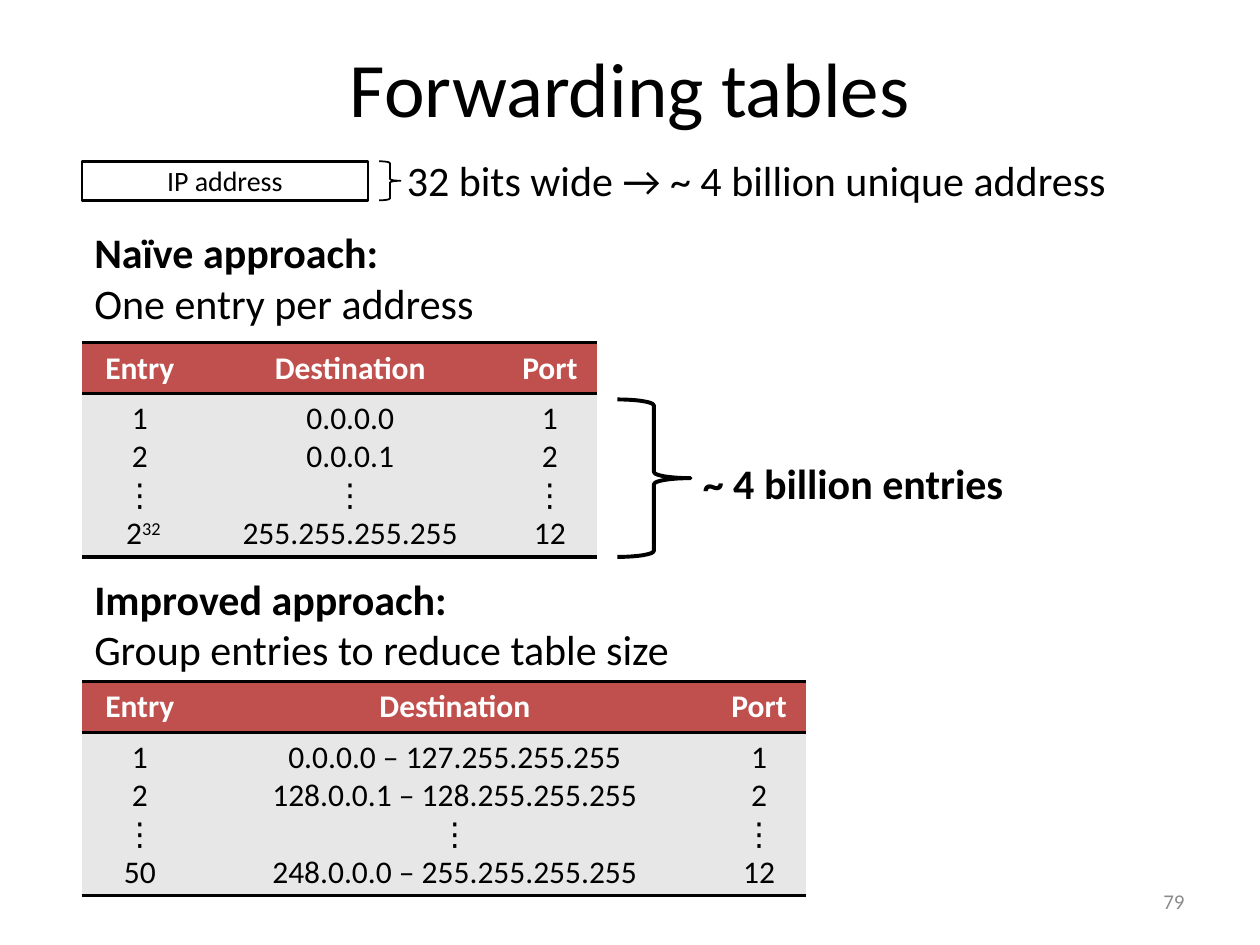
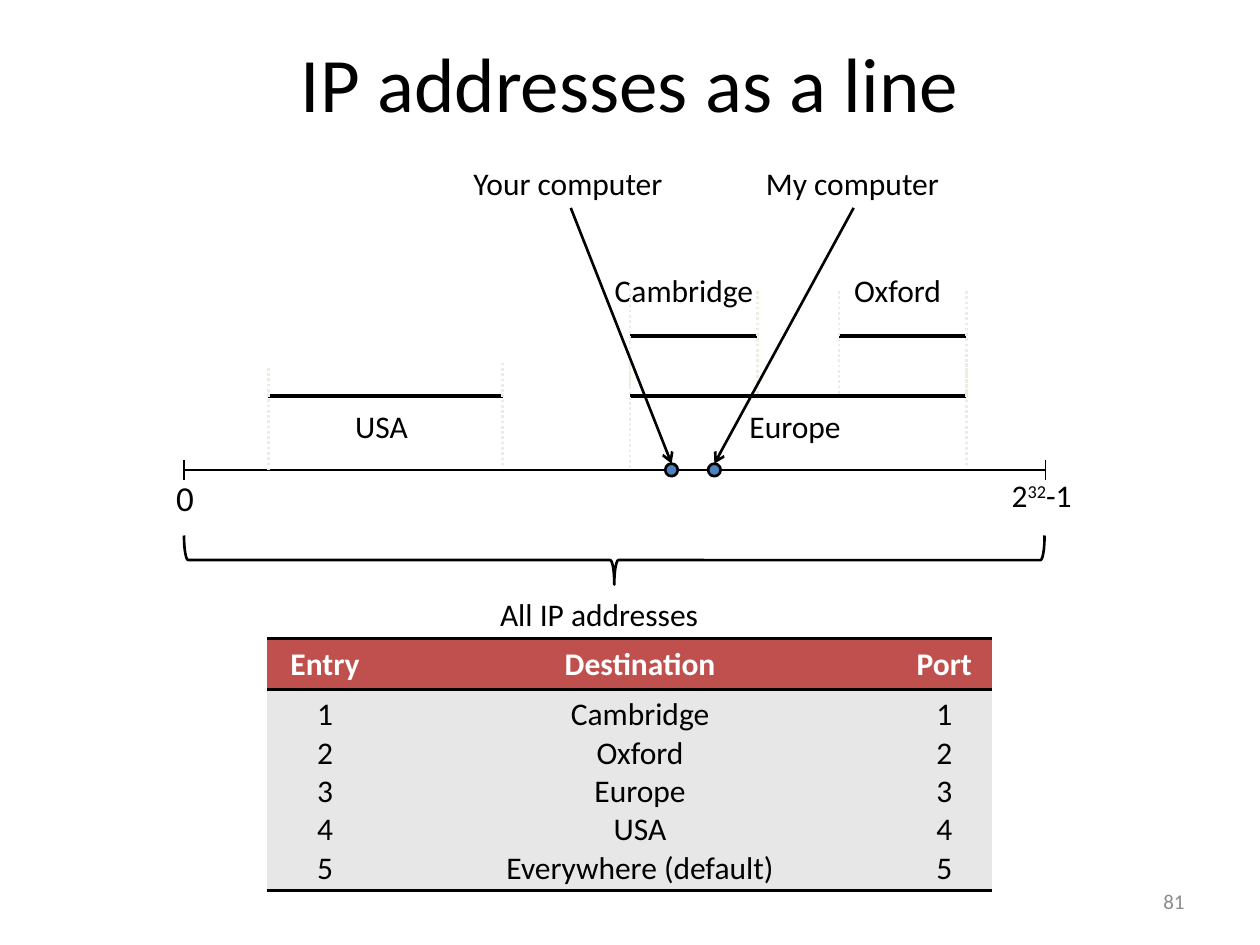
from typing import NamedTuple

from lxml import etree
from pptx import Presentation
from pptx.dml.color import RGBColor
from pptx.enum.dml import MSO_LINE
from pptx.enum.shapes import MSO_CONNECTOR, MSO_SHAPE
from pptx.enum.text import MSO_ANCHOR, MSO_AUTO_SIZE, PP_ALIGN
from pptx.oxml.ns import qn
from pptx.util import Emu, Inches, Pt

SLIDE_WIDTH = Inches(10)
SLIDE_HEIGHT = Inches(7.5)
GRID_COLUMNS = 100
GRID_ROWS = 75

FONT = "Calibri"
BLACK = RGBColor(0x00, 0x00, 0x00)
WHITE = RGBColor(0xFF, 0xFF, 0xFF)
HEADER_RED = RGBColor(0xC0, 0x50, 0x4D)
BODY_GRAY = RGBColor(0xE7, 0xE7, 0xE7)
GUIDE_TAN = RGBColor(0xEE, 0xEC, 0xE1)
DOT_BLUE = RGBColor(0x4F, 0x81, 0xBD)
NUMBER_GRAY = RGBColor(0x8C, 0x8C, 0x8C)

LEFT, CENTER, RIGHT = PP_ALIGN.LEFT, PP_ALIGN.CENTER, PP_ALIGN.RIGHT
TOP, MIDDLE = MSO_ANCHOR.TOP, MSO_ANCHOR.MIDDLE
STRAIGHT = MSO_CONNECTOR.STRAIGHT
RECTANGLE, OVAL, RIGHT_BRACE = MSO_SHAPE.RECTANGLE, MSO_SHAPE.OVAL, MSO_SHAPE.RIGHT_BRACE
DOTTED = MSO_LINE.ROUND_DOT
FIT_TEXT = MSO_AUTO_SIZE.SHAPE_TO_FIT_TEXT
SITE_TOP, SITE_BOTTOM = 0, 2

AXIS_START, AXIS_END, AXIS_ROW = 14.6, 83, 37.3
TICK_REACH = 0.8
GUIDE_LENGTH = 8.3
DOT_SIZE = 1
LABEL_HEIGHT = 4
HEADER_HEIGHT = 4
ENTRY_WIDTH, PORT_WIDTH = 9.2, 7.5


class Box(NamedTuple):
    left: float
    top: float
    width: float
    height: float


class Span(NamedTuple):
    text: str
    bold: bool = False
    raised: bool = False


class TextStyle(NamedTuple):
    size: float
    color: RGBColor = BLACK
    align: PP_ALIGN = LEFT
    anchor: MSO_ANCHOR = TOP


class Region(NamedTuple):
    name: str
    start: float
    end: float
    bar_row: float
    guide_tops: tuple[float, float]
    label: Box


class Computer(NamedTuple):
    name: str
    label: Box
    position: float


TITLE = TextStyle(44, align=CENTER, anchor=MIDDLE)
STATEMENT = TextStyle(24)
LABEL = TextStyle(18)
AXIS_ZERO = TextStyle(20)
FIELD = TextStyle(16, align=CENTER, anchor=MIDDLE)
HEADER = TextStyle(18, WHITE, CENTER)
BODY = TextStyle(18, align=CENTER)
SLIDE_NUMBER = TextStyle(12, NUMBER_GRAY, RIGHT, MIDDLE)

Line = str | tuple[Span, ...]

HEADINGS = ("Entry", "Destination", "Port")
NAIVE_ENTRIES = [
    ("1", "0.0.0.0", "1"),
    ("2", "0.0.0.1", "2"),
    ("⋮", "⋮", "⋮"),
    ((Span(" 2"), Span("32", raised=True)), "255.255.255.255", "12"),
]
GROUPED_ENTRIES = [
    ("1", "0.0.0.0 – 127.255.255.255", "1"),
    ("2", "128.0.0.1 – 128.255.255.255", "2"),
    ("⋮", "⋮", "⋮"),
    ("50", "248.0.0.0 – 255.255.255.255", "12"),
]
PLACES = ("Cambridge", "Oxford", "Europe", "USA", "Everywhere (default)")
PLACE_ENTRIES = [(str(rank), place, str(rank)) for rank, place in enumerate(PLACES, 1)]

REGIONS = [
    Region("Europe", 50, 76.7, 31.4, (29, 28.8), Box(58.5, 31.8, 9.4, LABEL_HEIGHT)),
    Region("USA", 21.3, 39.9, 31.4, (29.2, 28.8), Box(27.2, 31.8, 6.3, LABEL_HEIGHT)),
    Region("Oxford", 66.6, 76.7, 26.7, (23.1, 23.1), Box(66.8, 21, 9.1, LABEL_HEIGHT)),
    Region("Cambridge", 50, 60.1, 26.7, (22.5, 23.1), Box(47.8, 21, 13.1, LABEL_HEIGHT)),
]
COMPUTERS = [
    Computer("Your computer", Box(36.6, 12.5, 17.4, LABEL_HEIGHT), 53.3),
    Computer("My computer", Box(59.8, 12.5, 15.9, LABEL_HEIGHT), 56.7),
]


def columns(count: float) -> Emu:
    return Emu(round(SLIDE_WIDTH * count / GRID_COLUMNS))


def rows(count: float) -> Emu:
    return Emu(round(SLIDE_HEIGHT * count / GRID_ROWS))


def place(box: Box) -> tuple[Emu, Emu, Emu, Emu]:
    return columns(box.left), rows(box.top), columns(box.width), rows(box.height)


def write(text_frame, lines: list[Line], style: TextStyle, bold: bool = False) -> None:
    for index, line in enumerate(lines):
        paragraph = text_frame.add_paragraph() if index else text_frame.paragraphs[0]
        paragraph.alignment = style.align
        spans = (Span(line, bold),) if isinstance(line, str) else line
        for span in spans:
            run = paragraph.add_run()
            run.text = span.text
            run.font.name = FONT
            run.font.size = Pt(style.size)
            run.font.bold = span.bold
            run.font.color.rgb = style.color
            if span.raised:
                run.font._element.set("baseline", "30000")


def add_text(slide, box: Box, lines: list[Line], style: TextStyle, wrap: bool = False):
    shape = slide.shapes.add_textbox(*place(box))
    text_frame = shape.text_frame
    text_frame.word_wrap = wrap
    text_frame.vertical_anchor = style.anchor
    if not wrap:
        text_frame.auto_size = FIT_TEXT
    write(text_frame, lines, style)
    return shape


def add_outline(slide, kind: MSO_SHAPE, box: Box, weight: float, fill: RGBColor | None = None):
    shape = slide.shapes.add_shape(kind, *place(box))
    shape.shadow.inherit = False
    if fill is None:
        shape.fill.background()
    else:
        shape.fill.solid()
        shape.fill.fore_color.rgb = fill
    shape.line.color.rgb = BLACK
    shape.line.width = Pt(weight)
    return shape


def add_line(slide, start: tuple[float, float], end: tuple[float, float],
             weight: float, color: RGBColor = BLACK):
    connector = slide.shapes.add_connector(
        STRAIGHT, columns(start[0]), rows(start[1]), columns(end[0]), rows(end[1]))
    connector.line.color.rgb = color
    connector.line.width = Pt(weight)
    etree.SubElement(connector.element.spPr, qn("a:effectLst"))
    return connector


def set_borders(cell) -> None:
    properties = cell._tc.get_or_add_tcPr()
    for index, side in enumerate(("lnL", "lnR", "lnT", "lnB")):
        border = etree.Element(qn(f"a:{side}"), w=str(Pt(2)))
        if side in ("lnT", "lnB"):
            fill = etree.SubElement(border, qn("a:solidFill"))
            etree.SubElement(fill, qn("a:srgbClr"), val=str(BLACK))
        else:
            etree.SubElement(border, qn("a:noFill"))
        properties.insert(index, border)


def add_forwarding_table(slide, left: float, top: float, destination_width: float,
                         entries: list[tuple[Line, ...]]) -> None:
    widths = (ENTRY_WIDTH, destination_width, PORT_WIDTH)
    heights = (HEADER_HEIGHT, 3 * len(entries) + 1)
    frame = slide.shapes.add_table(
        len(heights), len(widths), *place(Box(left, top, sum(widths), sum(heights))))
    table = frame.table
    table.horz_banding = False
    for row, height in zip(table.rows, heights):
        row.height = rows(height)
    for index, (width, heading, lines) in enumerate(zip(widths, HEADINGS, zip(*entries))):
        table.columns[index].width = columns(width)
        contents = (([heading], HEADER, HEADER_RED, True), (list(lines), BODY, BODY_GRAY, False))
        for row_index, (cell_lines, style, fill, bold) in enumerate(contents):
            cell = table.cell(row_index, index)
            cell.fill.solid()
            cell.fill.fore_color.rgb = fill
            set_borders(cell)
            write(cell.text_frame, cell_lines, style, bold)


def add_slide(presentation, title: str, title_top: float, number: int):
    slide = presentation.slides.add_slide(presentation.slide_layouts[6])
    add_text(slide, Box(5, title_top, 90, 12.5), [title], TITLE, wrap=True)
    add_text(slide, Box(71.7, 69.5, 23.3, 4), [str(number)], SLIDE_NUMBER, wrap=True)
    return slide


def add_approach(slide, top: float, width: float, name: str, summary: str) -> None:
    add_text(slide, Box(6.5, top, width, 9.1), [(Span(name, bold=True),), summary], STATEMENT)


def add_region(slide, region: Region) -> None:
    add_text(slide, region.label, [region.name], LABEL)
    add_line(slide, (region.start, region.bar_row), (region.end, region.bar_row), 2.25)
    for column, top in zip((region.start, region.end), region.guide_tops):
        guide = add_line(slide, (column, top), (column, top + GUIDE_LENGTH), 1.5, GUIDE_TAN)
        guide.line.dash_style = DOTTED


def add_computer(slide, computer: Computer) -> None:
    label = add_text(slide, computer.label, [computer.name], LABEL)
    dot_top = AXIS_ROW - DOT_SIZE / 2
    dot = add_outline(
        slide, OVAL,
        Box(computer.position - DOT_SIZE / 2, dot_top, DOT_SIZE, DOT_SIZE), 1.5, DOT_BLUE)
    label_center = computer.label.left + computer.label.width / 2
    arrow = add_line(slide, (label_center, computer.label.top + LABEL_HEIGHT),
                     (computer.position, dot_top), 1.5)
    arrow.begin_connect(label, SITE_BOTTOM)
    arrow.end_connect(dot, SITE_TOP)
    etree.SubElement(arrow.element.spPr.find(qn("a:ln")), qn("a:tailEnd"), type="arrow")


def build_forwarding_slide(presentation) -> None:
    slide = add_slide(presentation, "Forwarding tables", 0.6, 79)
    address = add_outline(slide, RECTANGLE, Box(6.5, 12.8, 22.7, 3.1), 1.5)
    address.text_frame.margin_left = address.text_frame.margin_right = 0
    address.text_frame.vertical_anchor = MIDDLE
    write(address.text_frame, ["IP address"], FIELD)
    add_outline(slide, RIGHT_BRACE, Box(30.1, 12.8, 1.7, 3.1), 1)
    add_text(slide, Box(31.3, 11.8, 64.5, 5),
             ["32 bits wide → ~ 4 billion unique address"], STATEMENT, wrap=True)

    add_approach(slide, 17.5, 32.5, "Naïve approach:", "One entry per address")
    add_forwarding_table(slide, 6.5, 27.2, 24.2, NAIVE_ENTRIES)
    add_outline(slide, RIGHT_BRACE, Box(49, 31.7, 5.8, 12.5), 2.25)
    add_text(slide, Box(54.8, 35.8, 26.1, 5),
             [(Span("~ 4 billion entries", bold=True),)], STATEMENT)

    add_approach(slide, 45, 48.4, "Improved approach:", "Group entries to reduce table size")
    add_forwarding_table(slide, 6.5, 54.1, 40.8, GROUPED_ENTRIES)


def build_address_line_slide(presentation) -> None:
    slide = add_slide(presentation, "IP addresses as a line", 0.2, 81)
    add_line(slide, (AXIS_START, AXIS_ROW), (AXIS_END, AXIS_ROW), 0.75)
    for column in (AXIS_START, AXIS_END):
        add_line(slide, (column, AXIS_ROW - TICK_REACH), (column, AXIS_ROW + TICK_REACH), 0.75)
    add_text(slide, Box(13, AXIS_ROW, 3.4, 4.4), ["0"], AXIS_ZERO)
    add_text(slide, Box(79.3, AXIS_ROW, 7.8, LABEL_HEIGHT),
             [(Span("2"), Span("32", raised=True), Span("-1"))], LABEL)

    add_forwarding_table(slide, 21.2, 50.7, 40.8, PLACE_ENTRIES)
    add_text(slide, Box(38.7, 46.7, 17.9, LABEL_HEIGHT), ["All IP addresses"], LABEL)
    brace = add_outline(slide, RIGHT_BRACE, Box(46.8, 10.3, 3.9, 68.3), 1.5)
    brace.rotation = 90

    for region in REGIONS:
        add_region(slide, region)
    for computer in COMPUTERS:
        add_computer(slide, computer)


def main() -> None:
    presentation = Presentation()
    presentation.slide_width = SLIDE_WIDTH
    presentation.slide_height = SLIDE_HEIGHT
    build_forwarding_slide(presentation)
    build_address_line_slide(presentation)
    presentation.save("out.pptx")


if __name__ == "__main__":
    main()
